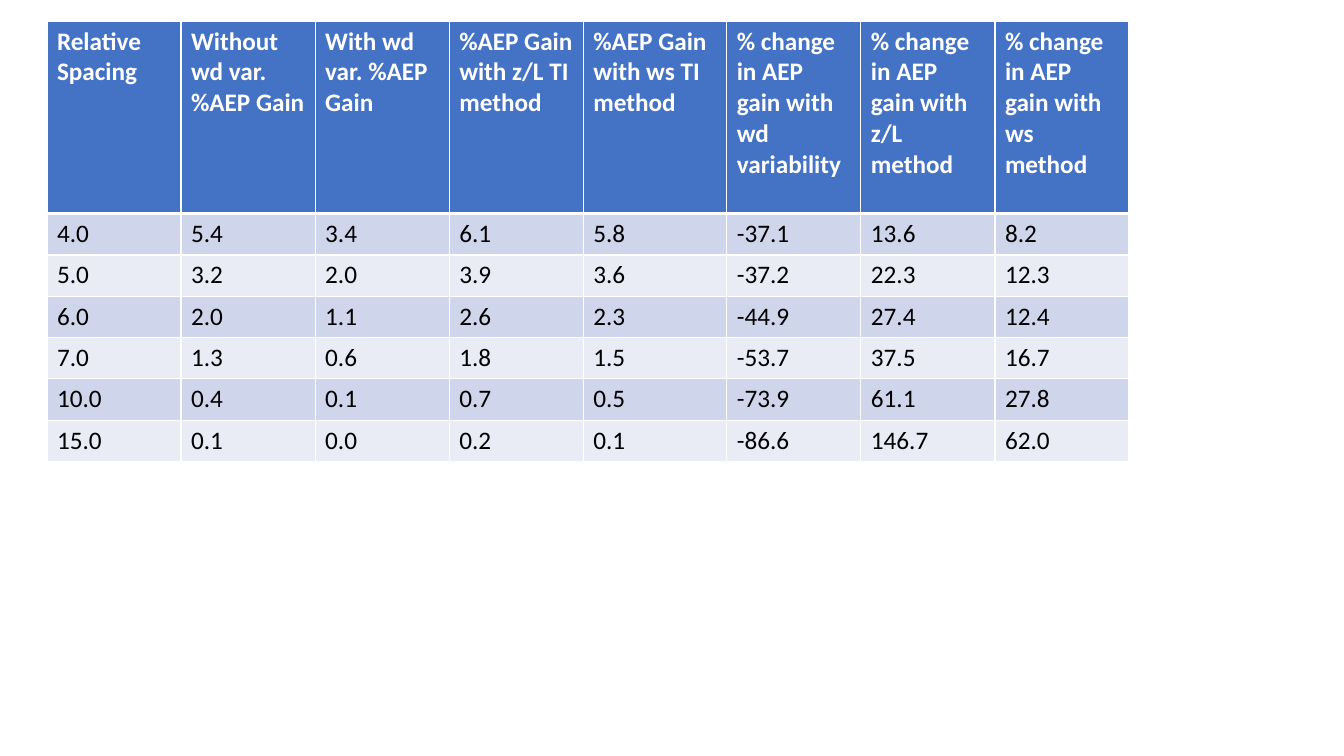
"""Builds a slide with a table of energy gains by relative turbine spacing."""
import dataclasses
import typing

import lxml.etree
import pptx
import pptx.dml.color
import pptx.oxml.ns
import pptx.table
import pptx.util


@dataclasses.dataclass(frozen=True)
class Theme:
    font: str = "Calibri"
    size: int = 18
    header_text: str = "FFFFFF"
    body_text: str = "000000"
    header_fill: str = "4472C4"
    bands: tuple[str, str] = ("CFD5EA", "E9EBF5")
    border: str = "FFFFFF"
    thin: int = 1
    thick: int = 3


@dataclasses.dataclass(frozen=True)
class Grid:
    column: float = 1.33
    row: float = 0.41

    def across(self, columns: float) -> pptx.util.Length:
        return pptx.util.Inches(columns * self.column)

    def down(self, rows: float) -> pptx.util.Length:
        return pptx.util.Inches(rows * self.row)


class GainColumn(typing.NamedTuple):
    title: str
    values: str
    width: float = 1


class CellStyle(typing.NamedTuple):
    fill: str
    color: str
    bold: bool
    top: int
    bottom: int


THEME = Theme()
GRID = Grid()
HEADER_ROWS = 4.66
COLUMNS = (
    GainColumn("Relative Spacing", "4.0 5.0 6.0 7.0 10.0 15.0"),
    GainColumn("Without wd var. %AEP Gain", "5.4 3.2 2.0 1.3 0.4 0.1"),
    GainColumn("With wd var. %AEP Gain", "3.4 2.0 1.1 0.6 0.1 0.0"),
    GainColumn("%AEP Gain with z/L TI method", "6.1 3.9 2.6 1.8 0.7 0.2"),
    GainColumn("%AEP Gain with ws TI method", "5.8 3.6 2.3 1.5 0.5 0.1", 1.07),
    GainColumn("% change in AEP gain with wd variability", "-37.1 -37.2 -44.9 -53.7 -73.9 -86.6"),
    GainColumn("% change in AEP gain with z/L method", "13.6 22.3 27.4 37.5 61.1 146.7"),
    GainColumn("% change in AEP gain with ws method", "8.2 12.3 12.4 16.7 27.8 62.0"),
)


def row_style(row: int) -> CellStyle:
    if row == 0:
        return CellStyle(THEME.header_fill, THEME.header_text, True, THEME.thin, THEME.thick)
    top = THEME.thick if row == 1 else THEME.thin
    return CellStyle(THEME.bands[(row - 1) % 2], THEME.body_text, False, top, THEME.thin)


def add_borders(cell: pptx.table._Cell, style: CellStyle) -> None:
    name = pptx.oxml.ns.qn
    properties = cell._tc.get_or_add_tcPr()
    widths = {"a:lnL": THEME.thin, "a:lnR": THEME.thin, "a:lnT": style.top, "a:lnB": style.bottom}
    for side, width in widths.items():
        line = lxml.etree.SubElement(properties, name(side), w=str(pptx.util.Pt(width)))
        fill = lxml.etree.SubElement(line, name("a:solidFill"))
        lxml.etree.SubElement(fill, name("a:srgbClr"), val=THEME.border)


def fill_cell(cell: pptx.table._Cell, text: str, style: CellStyle) -> None:
    add_borders(cell, style)
    cell.fill.solid()
    cell.fill.fore_color.rgb = pptx.dml.color.RGBColor.from_string(style.fill)
    cell.text = text
    font = cell.text_frame.paragraphs[0].font
    font.name = THEME.font
    font.size = pptx.util.Pt(THEME.size)
    font.bold = style.bold
    font.color.rgb = pptx.dml.color.RGBColor.from_string(style.color)


def main() -> None:
    deck = pptx.Presentation()
    deck.slide_width = pptx.util.Inches(13.33)
    deck.slide_height = pptx.util.Inches(7.5)
    page = deck.slides.add_slide(deck.slide_layouts[6])

    rows = list(zip(*([column.title, *column.values.split()] for column in COLUMNS)))
    heights = [HEADER_ROWS] + [1] * (len(rows) - 1)
    table = page.shapes.add_table(
        len(rows), len(COLUMNS), GRID.across(0.35), GRID.down(0.51),
        GRID.across(sum(column.width for column in COLUMNS)), GRID.down(sum(heights)),
    ).table
    for index, column in enumerate(COLUMNS):
        table.columns[index].width = GRID.across(column.width)
    for index, (height, texts) in enumerate(zip(heights, rows)):
        table.rows[index].height = GRID.down(height)
        for position, text in enumerate(texts):
            fill_cell(table.cell(index, position), text, row_style(index))

    deck.save("out.pptx")


if __name__ == "__main__":
    main()
